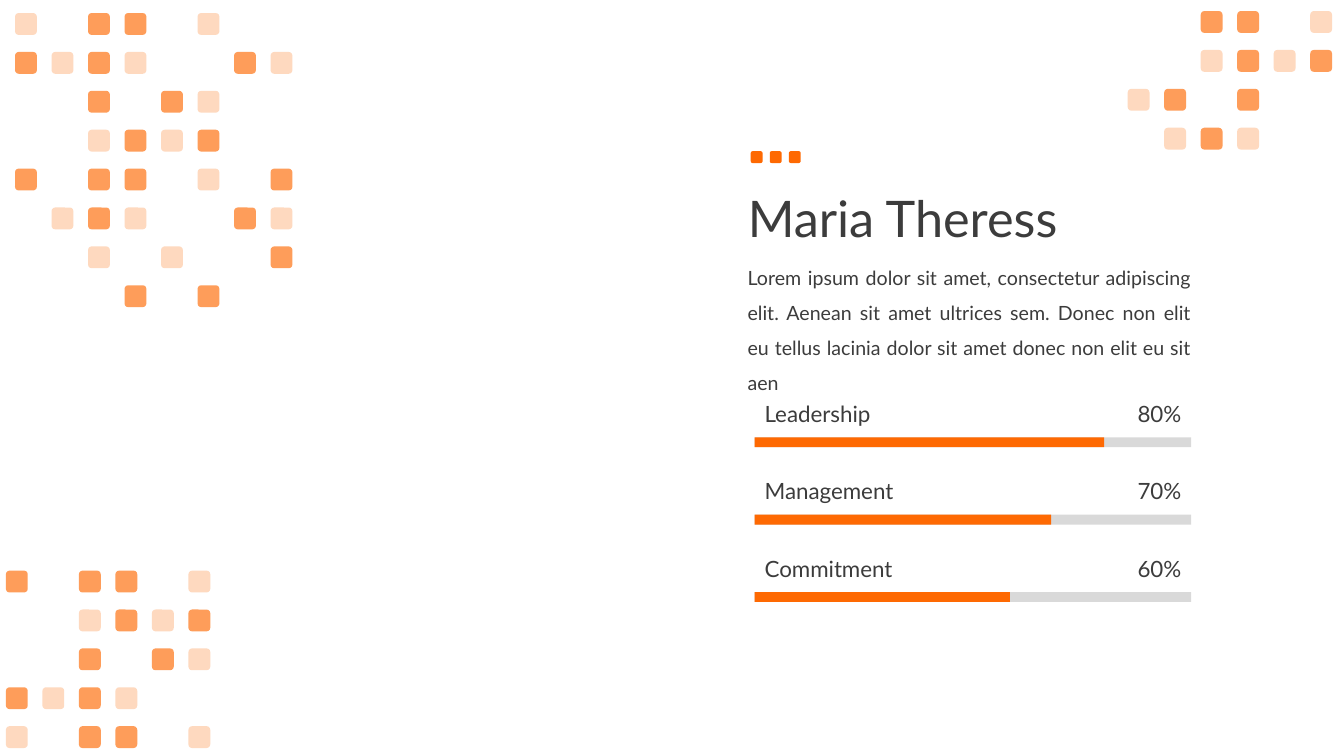
from lxml import etree
from pptx import Presentation
from pptx.dml.color import RGBColor
from pptx.enum.shapes import MSO_SHAPE
from pptx.enum.text import MSO_ANCHOR, MSO_AUTO_SIZE, PP_ALIGN
from pptx.oxml.ns import qn
from pptx.util import Cm, Pt

RECT, ROUNDED = MSO_SHAPE.RECTANGLE, MSO_SHAPE.ROUNDED_RECTANGLE
TOP, MIDDLE = MSO_ANCHOR.TOP, MSO_ANCHOR.MIDDLE
LEFT, RIGHT, JUSTIFY = PP_ALIGN.LEFT, PP_ALIGN.RIGHT, PP_ALIGN.JUSTIFY
FIT_SHAPE, NO_FIT = MSO_AUTO_SIZE.SHAPE_TO_FIT_TEXT, MSO_AUTO_SIZE.NONE

FONT = "Lato"
COLORS = {"accent": "FE6902", "text": "3C3C3C", "track": "D9D9D9"}

PERSON = "Maria Theress"
BIOGRAPHY = (
    "Lorem ipsum dolor sit amet, consectetur adipiscing elit. Aenean sit amet "
    "ultrices sem. Donec non elit eu tellus lacinia dolor sit amet donec non "
    "elit eu sit aen"
)
# skill, rating, length of the filled bar in cm
SKILLS = [
    ("Leadership", "80%", 8.81),
    ("Management", "70%", 7.47),
    ("Commitment", "60%", 6.43),
]

# Mosaics: left and top in cm, then rows of strong (#), pale (o) and empty (.) tiles
MOSAICS = [
    (0.15, 14.38, ["#.##.o", "..o#o#", "..#.#o", "#o#o..", "o.##.o"]),
    (0.38, 0.33, ["o.##.o..", "#o#o..#o", "..#.#o..", "..o#o#..",
                  "#.##.o.#", ".o#o..#o", "..o.o..#", "...#.#.."]),
    (28.42, 0.28, ["..##.o", "..o#o#", "o#.#..", ".o#o.."]),
]
TILE_OPACITY = {"#": 65, "o": 25}
TILE, TILE_STEP_X, TILE_STEP_Y = 0.55, 0.92, 0.98

TEXT_LEFT, BAR_LEFT = 18.59, 19.02
BAR_WIDTH, BAR_HEIGHT = 11, 0.25
SKILL_TOP, SKILL_STEP, LABEL_TO_BAR = 9.95, 1.95, 1.07
LABEL_WIDTH, RATING_WIDTH, LABEL_HEIGHT = 5.26, 2.69, 0.94
DOT, DOT_STEP, DOT_LEFT, DOT_TOP = 0.3, 0.48, 18.92, 3.81


def add_block(shapes, kind, left, top, width, height, color, opacity=100):
    block = shapes.add_shape(kind, Cm(left), Cm(top), Cm(width), Cm(height))
    block.shadow.inherit = False
    block.line.fill.background()
    block.fill.solid()
    block.fill.fore_color.rgb = RGBColor.from_string(COLORS[color])
    if opacity < 100:
        fill_color = block._element.spPr.find(qn("a:solidFill"))[0]
        etree.SubElement(fill_color, qn("a:alpha"), val=str(opacity * 1000))


def write(frame, words, size, align=LEFT, anchor=MIDDLE, spacing=None, fit=FIT_SHAPE):
    frame.text = words
    frame.word_wrap = True
    frame.auto_size = fit
    frame.vertical_anchor = anchor
    paragraph = frame.paragraphs[0]
    paragraph.alignment = align
    paragraph.line_spacing = spacing
    paragraph.font.name = FONT
    paragraph.font.size = Pt(size)
    paragraph.font.color.rgb = RGBColor.from_string(COLORS["text"])


def add_text(slide, left, top, width, height, words, size, **style):
    box = slide.shapes.add_textbox(Cm(left), Cm(top), Cm(width), Cm(height))
    write(box.text_frame, words, size, **style)


def add_mosaic(slide, left, top, rows):
    tiles = slide.shapes.add_group_shape().shapes
    for r, row in enumerate(rows):
        for c, tone in enumerate(row):
            if tone in TILE_OPACITY:
                add_block(tiles, ROUNDED, left + c * TILE_STEP_X, top + r * TILE_STEP_Y,
                          TILE, TILE, "accent", TILE_OPACITY[tone])


def add_skill(slide, top, skill, rating, filled):
    for length, color in ((BAR_WIDTH, "track"), (filled, "accent")):
        add_block(slide.shapes, RECT, BAR_LEFT, top + LABEL_TO_BAR,
                  length, BAR_HEIGHT, color)
    add_text(slide, BAR_LEFT, top, LABEL_WIDTH, LABEL_HEIGHT, skill, 16)
    add_text(slide, BAR_LEFT + BAR_WIDTH - RATING_WIDTH, top,
             RATING_WIDTH, LABEL_HEIGHT, rating, 16, align=RIGHT)


def main():
    deck = Presentation()
    deck.slide_width, deck.slide_height = Cm(33.87), Cm(19.05)
    slide = deck.slides.add_slide(deck.slide_layouts[5])

    title = slide.shapes.title
    title.left, title.top = Cm(TEXT_LEFT), Cm(3.73)
    title.width, title.height = Cm(15.24), Cm(3.68)
    write(title.text_frame, PERSON, 36, spacing=0.9, fit=NO_FIT)

    for mosaic in MOSAICS:
        add_mosaic(slide, *mosaic)

    add_text(slide, TEXT_LEFT, 6.27, 11.68, 2.82, BIOGRAPHY, 14,
             align=JUSTIFY, anchor=TOP, spacing=1.5)
    for i, skill in enumerate(SKILLS):
        add_skill(slide, SKILL_TOP + i * SKILL_STEP, *skill)

    dots = slide.shapes.add_group_shape().shapes
    for i in range(3):
        add_block(dots, ROUNDED, DOT_LEFT + i * DOT_STEP, DOT_TOP, DOT, DOT, "accent")

    deck.save("out.pptx")


if __name__ == "__main__":
    main()
